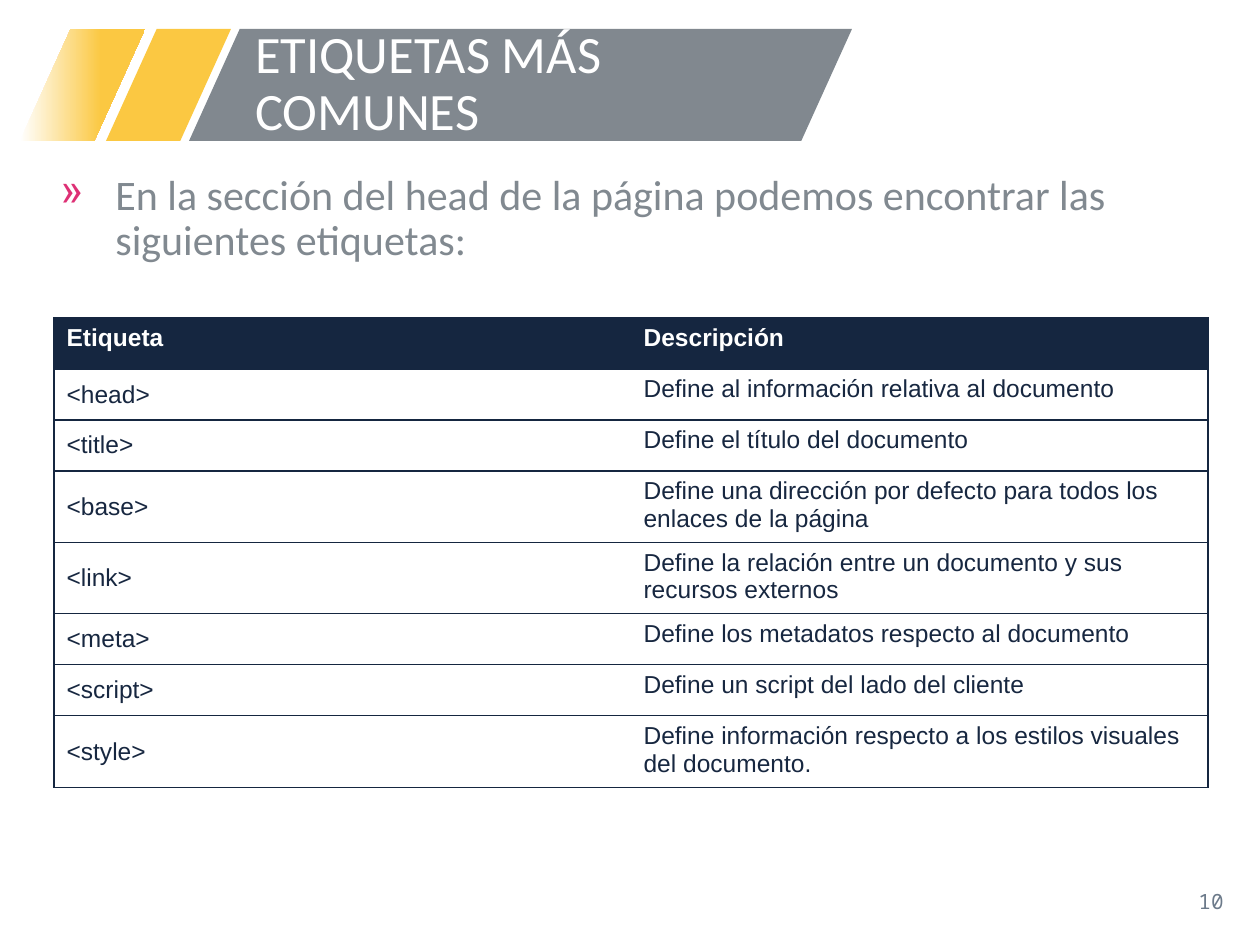
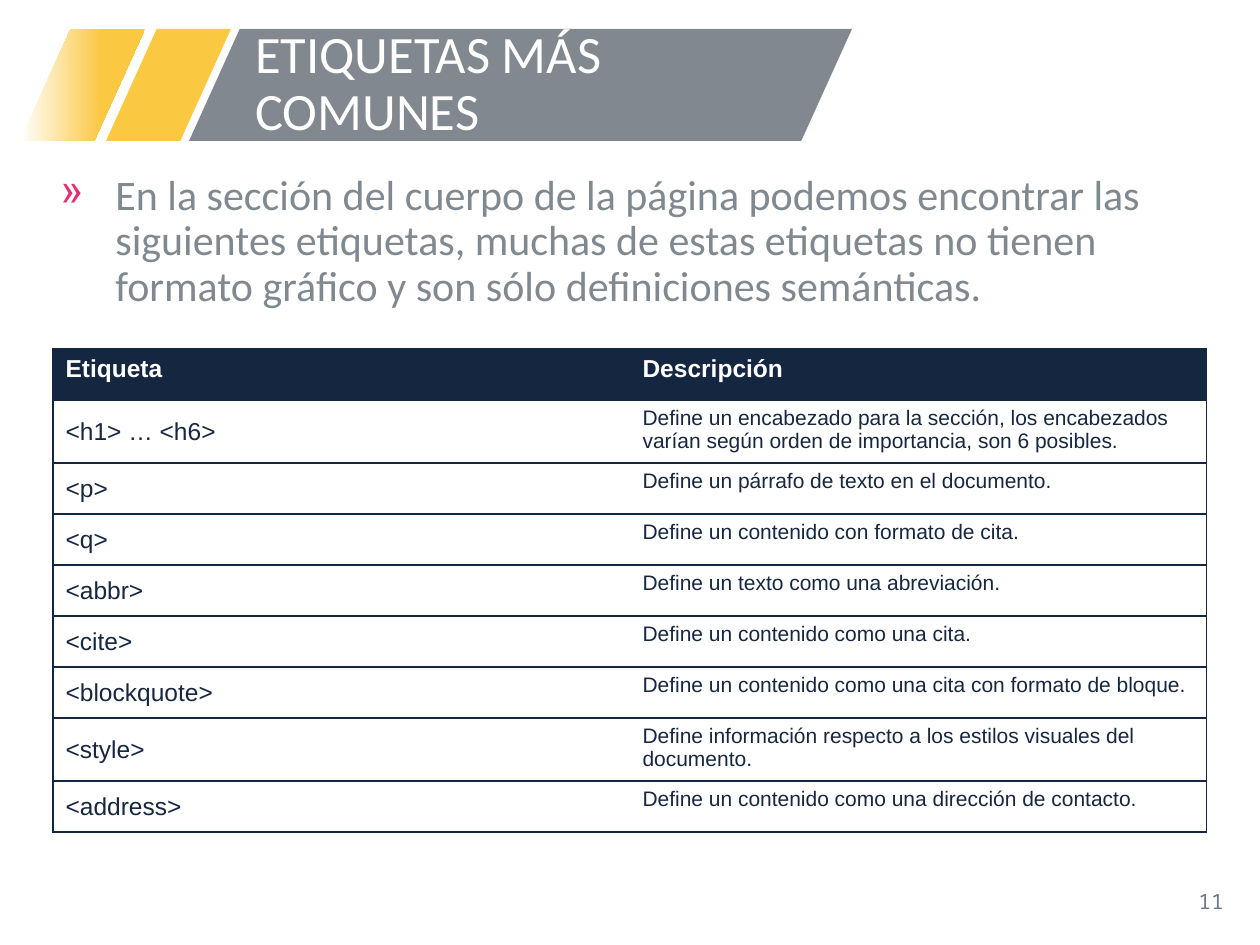
from lxml import etree
from pptx import Presentation
from pptx.dml.color import RGBColor
from pptx.enum.shapes import MSO_SHAPE
from pptx.enum.text import MSO_ANCHOR, PP_ALIGN
from pptx.oxml.ns import qn
from pptx.util import Emu, Pt

PARALLELOGRAM = MSO_SHAPE.PARALLELOGRAM
TOP, MIDDLE = MSO_ANCHOR.TOP, MSO_ANCHOR.MIDDLE
LEFT, RIGHT = PP_ALIGN.LEFT, PP_ALIGN.RIGHT

WHITE = RGBColor(0xFF, 0xFF, 0xFF)
YELLOW = RGBColor(0xFB, 0xC8, 0x42)
BAND_GREY = RGBColor(0x81, 0x88, 0x8F)
TEXT_GREY = RGBColor(0x81, 0x89, 0x90)
NUMBER_GREY = RGBColor(0x6C, 0x7A, 0x8A)
PINK = RGBColor(0xDE, 0x30, 0x75)
NAVY = RGBColor(0x15, 0x26, 0x40)
CELL_NAVY = RGBColor(0x17, 0x27, 0x40)

PX_PER_INCH = 126
BAND_TOP, BAND_HEIGHT, BAND_SLANT = 29, 112, 0.453
COLUMN_WIDTH, ROW_HEIGHT = 577, 51
BORDER_WIDTH = Pt(0.75)

TITLE = "ETIQUETAS MÁS COMUNES"
HEADINGS = ("Etiqueta", "Descripción")
TITLE_FONT = dict(name="Calibri", size=Pt(30))
BODY_FONT = dict(name="Calibri", size=Pt(24))
NUMBER_FONT = dict(name="Noto Sans Mono", size=Pt(12))

HEAD_INTRO = ("En la sección del head de la página podemos encontrar las "
              "siguientes etiquetas:")
HEAD_TAGS = [
    ("<head>", "Define al información relativa al documento"),
    ("<title>", "Define el título del documento"),
    ("<base>", "Define una dirección por defecto para todos los enlaces de la página"),
    ("<link>", "Define la relación entre un documento y sus recursos externos"),
    ("<meta>", "Define los metadatos respecto al documento"),
    ("<script>", "Define un script del lado del cliente"),
    ("<style>", "Define información respecto a los estilos visuales del documento."),
]
BODY_INTRO = ("En la sección del cuerpo de la página podemos encontrar las "
              "siguientes etiquetas, muchas de estas etiquetas no tienen "
              "formato gráfico y son sólo definiciones semánticas.")
BODY_TAGS = [
    ("<h1> … <h6>", "Define un encabezado para la sección, los encabezados "
                    "varían según orden de importancia, son 6 posibles."),
    ("<p>", "Define un párrafo de texto en el documento."),
    ("<q>", "Define un contenido con formato de cita."),
    ("<abbr>", "Define un texto como una abreviación."),
    ("<cite>", "Define un contenido como una cita."),
    ("<blockquote>", "Define un contenido como una cita con formato de bloque."),
    ("<style>", "Define información respecto a los estilos visuales del documento."),
    ("<address>", "Define un contenido como una dirección de contacto."),
]


def px(n):
    """Turn pixels into EMU."""
    return Emu(round(n * 914400 / PX_PER_INCH))


def write(p, text, color, font):
    """Add a run to a paragraph with the given format."""
    r = p.add_run()
    r.text = text
    for key, value in font.items():
        setattr(r.font, key, value)
    r.font.color.rgb = color


def add_text(s, box, text, color, font, anchor=TOP, align=LEFT, spacing=None):
    """Add a wrapped text box and return its paragraph."""
    tf = s.shapes.add_textbox(*map(px, box)).text_frame
    tf.word_wrap = True
    tf.vertical_anchor = anchor
    p = tf.paragraphs[0]
    p.alignment = align
    p.line_spacing = spacing
    write(p, text, color, font)
    return p


def add_band(s, left, width, color):
    """Add one slanted piece of the title band and return it."""
    sp = s.shapes.add_shape(PARALLELOGRAM, px(left), px(BAND_TOP),
                            px(width), px(BAND_HEIGHT))
    sp.adjustments[0] = BAND_SLANT
    sp.shadow.inherit = False
    sp.line.fill.background()
    sp.fill.solid()
    sp.fill.fore_color.rgb = color
    return sp


def fade_in(sp):
    """Fade a shape from white to yellow, left to right."""
    sp.fill.gradient()
    sp.fill.gradient_angle = 0
    for stop, color, position in zip(sp.fill.gradient_stops, (WHITE, YELLOW), (0, 0.65)):
        stop.color.rgb = color
        stop.position = position


def add_bullet(p):
    """Give a paragraph a hanging pink bullet."""
    pPr = p._p.get_or_add_pPr()
    pPr.set("marL", str(px(63)))
    pPr.set("indent", str(px(-55)))
    buClr = etree.SubElement(pPr, qn("a:buClr"))
    etree.SubElement(buClr, qn("a:srgbClr"), val=str(PINK))
    etree.SubElement(pPr, qn("a:buChar"), char="»")


def set_borders(cell, column):
    """Draw every cell edge except the one between the columns."""
    tcPr = cell._tc.get_or_add_tcPr()
    inner = "RL"[column]
    for side in "LRTB":
        ln = etree.SubElement(tcPr, qn(f"a:ln{side}"), w=str(BORDER_WIDTH))
        if side == inner:
            etree.SubElement(ln, qn("a:noFill"))
        else:
            fill = etree.SubElement(ln, qn("a:solidFill"))
            etree.SubElement(fill, qn("a:srgbClr"), val=str(NAVY))


def add_tag_table(s, left, top, tags, description_size):
    """Add the table of tags and their descriptions."""
    rows = [HEADINGS, *tags]
    frame = s.shapes.add_table(len(rows), 2, px(left), px(top),
                               px(2 * COLUMN_WIDTH), px(ROW_HEIGHT * len(rows)))
    table = frame.table
    table.horz_banding = False
    for column in table.columns:
        column.width = px(COLUMN_WIDTH)
    for i, texts in enumerate(rows):
        table.rows[i].height = px(ROW_HEIGHT)
        header = i == 0
        for j, text in enumerate(texts):
            cell = table.cell(i, j)
            set_borders(cell, j)
            cell.fill.solid()
            cell.fill.fore_color.rgb = NAVY if header else WHITE
            cell.vertical_anchor = TOP if header or j else MIDDLE
            size = description_size if j and not header else 14
            write(cell.text_frame.paragraphs[0], text, WHITE if header else CELL_NAVY,
                  dict(name="Arial", size=Pt(size), bold=header))


def add_tag_slide(prs, number, intro):
    """Add a slide with the shared band, title, number and an introduction."""
    s = prs.slides.add_slide(prs.slide_layouts[6])
    add_band(s, 106, 125, YELLOW)
    fade_in(add_band(s, 20, 125, YELLOW))
    add_band(s, 189, 663, BAND_GREY)
    add_text(s, (953, 876, 283, 50), str(number), NUMBER_GREY, NUMBER_FONT, MIDDLE, RIGHT)
    add_bullet(add_text(s, (40, 168, 1180, 708), intro, TEXT_GREY, BODY_FONT, spacing=0.9))
    add_text(s, (243, BAND_TOP, 591, BAND_HEIGHT), TITLE, WHITE, TITLE_FONT,
             MIDDLE, spacing=0.9)
    return s


def main():
    """Build both slides and save them."""
    prs = Presentation()
    prs.slide_width, prs.slide_height = px(1260), px(945)
    s = add_tag_slide(prs, 10, HEAD_INTRO)
    add_tag_table(s, 54, 318, HEAD_TAGS, 14)
    s = add_tag_slide(prs, 11, BODY_INTRO)
    add_tag_table(s, 53, 349, BODY_TAGS, 12)
    prs.save("out.pptx")


if __name__ == "__main__":
    main()
